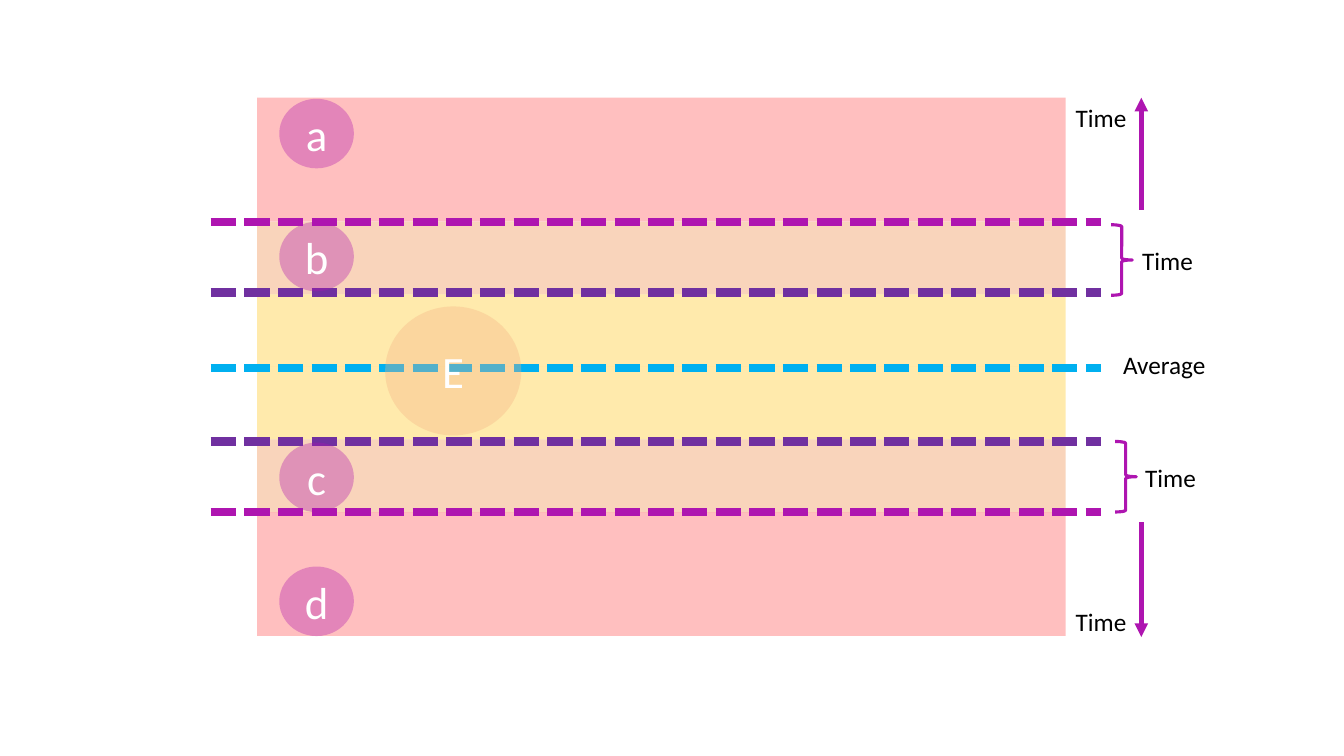
from lxml import etree
from pptx import Presentation
from pptx.dml.color import RGBColor
from pptx.enum import dml, shapes, text
from pptx.oxml import ns
from pptx.util import Inches, Pt

RED = RGBColor(0xFF, 0x00, 0x00)
ORANGE = RGBColor(0xF4, 0xB1, 0x83)
YELLOW = RGBColor(0xFF, 0xD9, 0x66)
MAGENTA = RGBColor(0xAE, 0x15, 0xB0)
PURPLE = RGBColor(0x70, 0x30, 0xA0)
BLUE = RGBColor(0x00, 0xB0, 0xF0)
BLACK = RGBColor(0x00, 0x00, 0x00)
WHITE = RGBColor(0xFF, 0xFF, 0xFF)

prs = Presentation()
prs.slide_width, prs.slide_height = Inches(13.33), Inches(7.5)
s = prs.slides.add_slide(prs.slide_layouts[6])


def add_filled(kind, x, y, w, h, color, opacity, label=""):
    sp = s.shapes.add_shape(kind, Inches(x), Inches(y), Inches(w), Inches(h))
    sp.shadow.inherit = False
    sp.line.fill.background()
    sp.fill.solid()
    sp.fill.fore_color.rgb = color
    clr = sp.fill._xPr.find(".//" + ns.qn("a:srgbClr"))
    etree.SubElement(clr, ns.qn("a:alpha"), val=str(opacity * 1000))
    if label:
        tf = sp.text_frame
        tf.text = label
        tf.vertical_anchor = text.MSO_ANCHOR.MIDDLE
        p = tf.paragraphs[0]
        p.alignment = text.PP_ALIGN.CENTER
        font = p.runs[0].font
        font.name, font.size, font.color.rgb = "Calibri", Pt(32), WHITE


def add_line(x1, y1, x2, y2, color, width):
    ln = s.shapes.add_connector(shapes.MSO_CONNECTOR.STRAIGHT,
                                Inches(x1), Inches(y1), Inches(x2), Inches(y2))
    ln.line.color.rgb = color
    ln.line.width = Pt(width)
    etree.SubElement(ln._element.spPr, ns.qn("a:effectLst"))
    return ln


# Bands, from top to bottom
top = 0.97
for color, opacity, height in [(RED, 25, 1.23), (ORANGE, 54, 0.72), (YELLOW, 54, 0.72),
                               (YELLOW, 54, 0.72), (ORANGE, 54, 0.72), (RED, 25, 1.23)]:
    add_filled(shapes.MSO_SHAPE.RECTANGLE, 2.55, top, 8.02, height, color, opacity)
    top += height

# Dashed limits and average
for y, color in [(2.9, PURPLE), (4.38, PURPLE), (2.2, MAGENTA), (5.08, MAGENTA), (3.65, BLUE)]:
    ln = add_line(2.09, y, 10.92, y, color, 6)
    ln.line.dash_style = dml.MSO_LINE.SQUARE_DOT
    ln.line._ln.find(ns.qn("a:prstDash")).set("val", "sysDash")

# Braces beside the orange bands
for x, y in [(11.02, 2.23), (11.06, 4.38)]:
    sp = s.shapes.add_shape(shapes.MSO_SHAPE.RIGHT_BRACE,
                            Inches(x), Inches(y), Inches(0.21), Inches(0.7))
    sp.shadow.inherit = False
    sp.fill.background()
    sp.line.color.rgb = MAGENTA
    sp.line.width = Pt(2.25)

# Arrows beside the red bands
for start, end in [(2.08, 0.97), (5.18, 6.32)]:
    arrow = add_line(11.32, start, 11.32, end, MAGENTA, 3.25)
    etree.SubElement(arrow.line._ln, ns.qn("a:tailEnd"), type="triangle")

# Labels on the right
for label, x, y, w in [("Time", 10.57, 0.97, 1.77), ("Time", 11.23, 2.38, 1.77),
                       ("Average", 11.04, 3.42, 1.77), ("Time", 11.26, 4.54, 1.77),
                       ("Time", 10.57, 5.97, 0.94)]:
    tf = s.shapes.add_textbox(Inches(x), Inches(y), Inches(w), Inches(0.4)).text_frame
    tf.word_wrap = True
    tf.auto_size = text.MSO_AUTO_SIZE.SHAPE_TO_FIT_TEXT
    tf.text = label
    font = tf.paragraphs[0].runs[0].font
    font.name, font.size, font.color.rgb = "Calibri", Pt(18), BLACK

# Lettered circles
for label, y in [("a", 0.98), ("b", 2.2), ("c", 4.39), ("d", 5.62)]:
    add_filled(shapes.MSO_SHAPE.OVAL, 2.77, y, 0.74, 0.69, MAGENTA, 34, label)
add_filled(shapes.MSO_SHAPE.OVAL, 3.82, 3.04, 1.35, 1.28, ORANGE, 34, "E")

prs.save("out.pptx")
